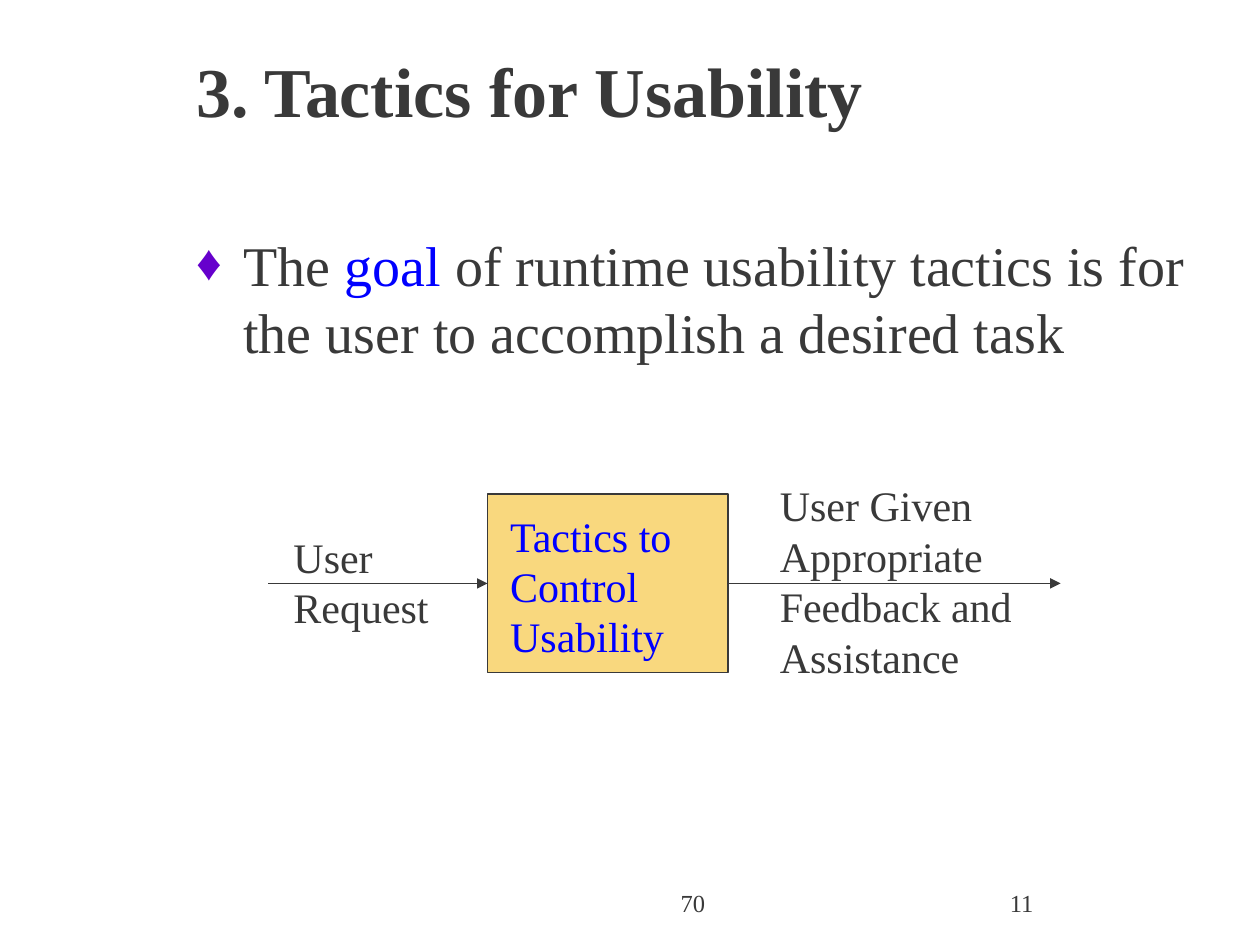
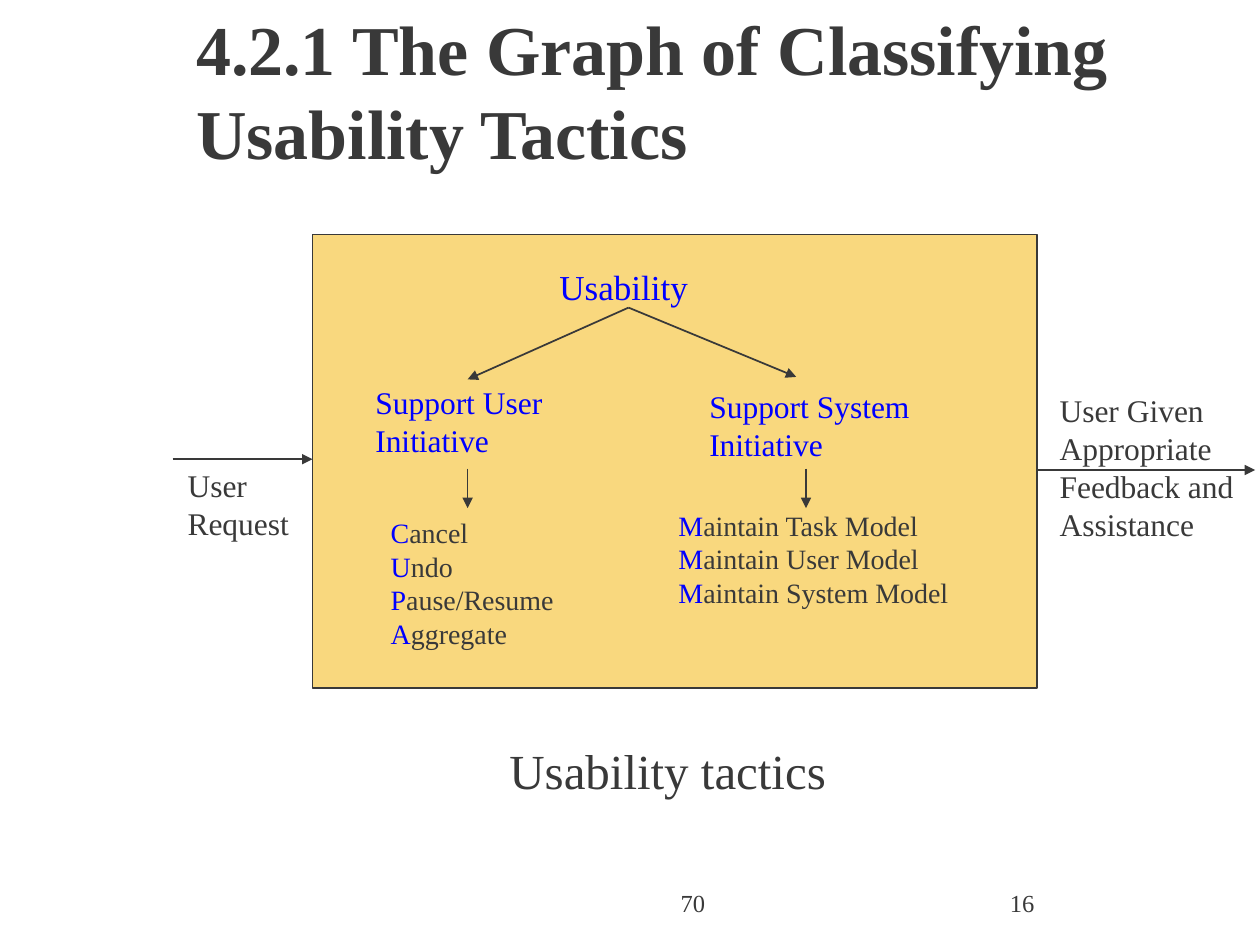
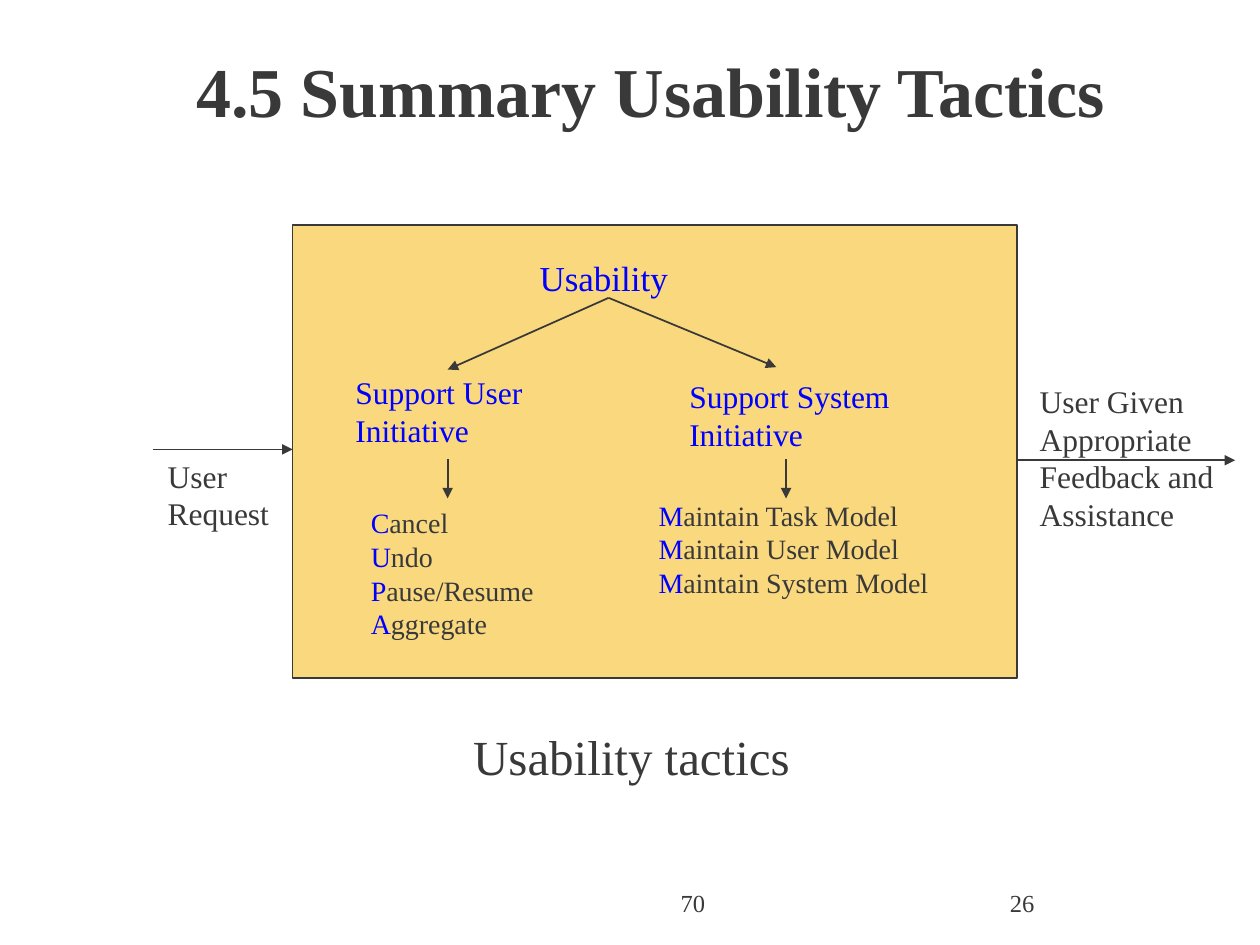
from lxml.etree import SubElement
from pptx import Presentation
from pptx.dml.color import RGBColor
from pptx.enum.shapes import MSO_CONNECTOR, MSO_SHAPE
from pptx.enum.text import MSO_ANCHOR, PP_ALIGN
from pptx.oxml.ns import qn
from pptx.util import Pt

INK = RGBColor(0x39, 0x39, 0x39)
BLUE = RGBColor(0x00, 0x00, 0xFF)
PURPLE = RGBColor(0x66, 0x00, 0xCC)
GOLD = RGBColor(0xF9, 0xD8, 0x7E)
FONT = "Times New Roman"
LINE_HEIGHT = 1.2

REQUEST = "User Request"
FEEDBACK = "User Given Appropriate Feedback and Assistance"
USER_TACTICS = ["Cancel", "Undo", "Pause/Resume", "Aggregate"]
SYSTEM_TACTICS = ["Maintain Task Model", "Maintain User Model", "Maintain System Model"]


def add_text(slide, box, paragraphs, size=18, color=INK, bold=False,
             align=PP_ALIGN.LEFT, anchor=MSO_ANCHOR.TOP, bullet=None):
    """Paragraphs is a string, or a list of lists of (text, color) runs."""
    if isinstance(paragraphs, str):
        paragraphs = [[(paragraphs, color)]]
    shape = slide.shapes.add_textbox(*map(Pt, box))
    frame = shape.text_frame
    frame.word_wrap = True
    frame.vertical_anchor = anchor
    for index, runs in enumerate(paragraphs):
        paragraph = frame.add_paragraph() if index else frame.paragraphs[0]
        if bullet:
            add_bullet(paragraph, bullet)
        paragraph.alignment = align
        paragraph.line_spacing = Pt(size * LINE_HEIGHT)
        for text, run_color in runs:
            run = paragraph.add_run()
            run.text = text
            run.font.name = FONT
            run.font.size = Pt(size)
            run.font.bold = bold
            run.font.color.rgb = run_color
    return shape


def add_bullet(paragraph, character, indent=27):
    properties = paragraph._p.get_or_add_pPr()
    properties.set("marL", str(Pt(indent)))
    properties.set("indent", str(-Pt(indent)))
    bullet_color = SubElement(properties, qn("a:buClr"))
    SubElement(bullet_color, qn("a:srgbClr"), val=str(PURPLE))
    SubElement(properties, qn("a:buSzPct"), val="90000")
    SubElement(properties, qn("a:buFont"), typeface=FONT)
    SubElement(properties, qn("a:buChar"), char=character)


def add_arrow(slide, start, end):
    arrow = slide.shapes.add_connector(
        MSO_CONNECTOR.STRAIGHT, *map(Pt, (*start, *end)))
    arrow.line.color.rgb = INK
    arrow.line.width = Pt(1)
    SubElement(arrow.line._get_or_add_ln(), qn("a:tailEnd"), type="triangle")
    SubElement(arrow._element.spPr, qn("a:effectLst"))


def add_panel(slide, box):
    panel = slide.shapes.add_shape(MSO_SHAPE.RECTANGLE, *map(Pt, box))
    panel.shadow.inherit = False
    panel.fill.solid()
    panel.fill.fore_color.rgb = GOLD
    panel.line.color.rgb = INK
    panel.line.width = Pt(1)


def highlight_initials(lines):
    return [[(line[0], BLUE), (line[1:], INK)] for line in lines]


def new_slide(presentation, title, number):
    """Blank slide with the shared title and footer."""
    slide = presentation.slides.add_slide(presentation.slide_layouts[6])
    add_text(slide, (105, 3.6, 612, 95.5), title, size=40, bold=True,
             anchor=MSO_ANCHOR.MIDDLE)
    add_text(slide, (282, 504, 228, 36), "70", size=14, align=PP_ALIGN.CENTER)
    add_text(slide, (570, 504, 150, 36), number, size=14)
    return slide


def add_flow(slide, box, arrow_in, arrow_out, request_box, feedback_box, size):
    """Panel with an arrow in and out; each arrow is (length, offset down)."""
    left, top, width, height = box
    right = left + width
    add_panel(slide, box)
    length, down = arrow_in
    add_arrow(slide, (left - length, top + down), (left, top + down))
    length, down = arrow_out
    add_arrow(slide, (right, top + down), (right + length, top + down))
    for text, (x, y, w, h) in ((REQUEST, request_box), (FEEDBACK, feedback_box)):
        add_text(slide, (left + x, top + y, w, h), text, size=size)


def add_goal_flow(slide, left, top):
    add_flow(slide, (left, top, 137.5, 102.2), (125.3, 51.2), (190, 51.2),
             (-118, 18, 108, 65), (159.9, -11.5, 173.5, 122), size=24)
    add_text(slide, (left + 5.8, top + 5.8, 120, 94),
             "Tactics to Control Usability", size=24, color=BLUE)


def add_tactics_tree(slide, left, top):
    add_flow(slide, (left, top, 414, 259.2), (80, 128.4), (124.6, 134.6),
             (-78.5, 129, 84, 50), (419.8, 86.2, 119, 94), size=18)

    # Headings and lists, placed from the panel corner
    parts = (
        ((134, 14.4, 101.5, 32), "Usability", 20),
        ((28.8, 81.4, 158.5, 50), "Support User Initiative", 18),
        ((219.6, 83.5, 142, 50), "Support System Initiative", 18),
        ((37.6, 157.2, 124.5, 84), highlight_initials(USER_TACTICS), 16),
        ((202, 152.8, 182, 65), highlight_initials(SYSTEM_TACTICS), 16),
    )
    for (x, y, width, height), text, size in parts:
        add_text(slide, (left + x, top + y, width, height), text,
                 size=size, color=BLUE)

    # Branches
    root = (180.6, 41.8)
    arrows = [(root, (88.6, 82.8)), (root, (276.4, 81.4))]
    arrows += [((x, 133.8), (x, 156.4)) for x in (88.6, 282)]
    for start, end in arrows:
        add_arrow(slide, *((left + x, top + y) for x, y in (start, end)))


def build_goal_slide(presentation):
    slide = new_slide(presentation, "3. Tactics for Usability", "11")
    goal = [("The ", INK), ("goal", BLUE),
            (" of runtime usability tactics is for the user to accomplish"
             " a desired task", INK)]
    add_text(slide, (105, 128, 612, 108), [goal], size=32, bullet="♦")
    add_goal_flow(slide, 278.6, 282.2)


def build_tree_slide(presentation, title, number, corner, caption_corner):
    slide = new_slide(presentation, title, number)
    add_tactics_tree(slide, *corner)
    add_text(slide, (*caption_corner, 312, 41), "Usability tactics", size=28,
             align=PP_ALIGN.CENTER)


def main():
    presentation = Presentation()
    presentation.slide_width, presentation.slide_height = Pt(720), Pt(540)
    build_goal_slide(presentation)
    build_tree_slide(presentation, "4.2.1 The Graph of Classifying Usability Tactics",
                     "16", (178.6, 134), (225.5, 419.8))
    build_tree_slide(presentation, "4.5 Summary Usability Tactics",
                     "26", (167.2, 128.4), (204.8, 411.8))
    presentation.save("out.pptx")


if __name__ == "__main__":
    main()
